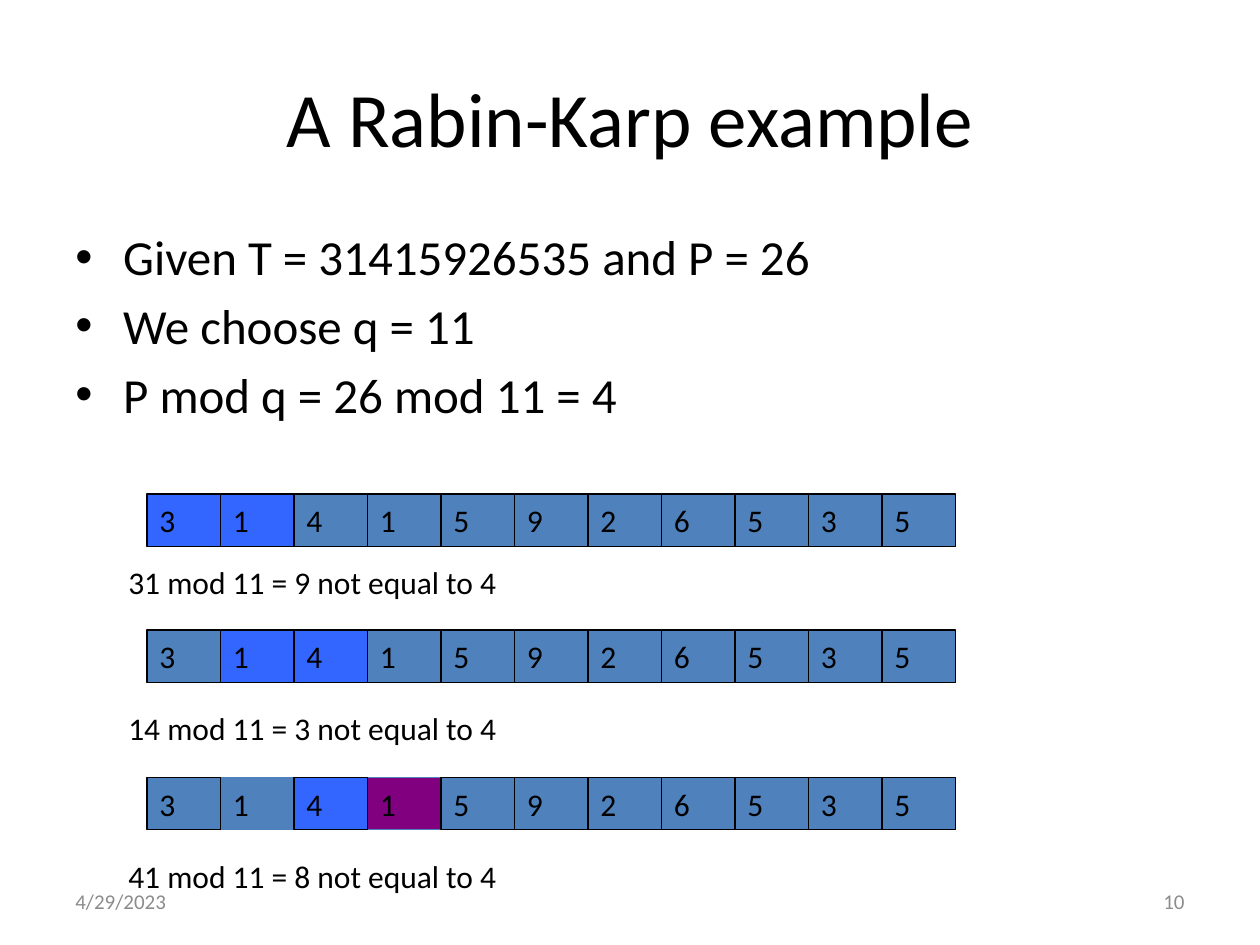
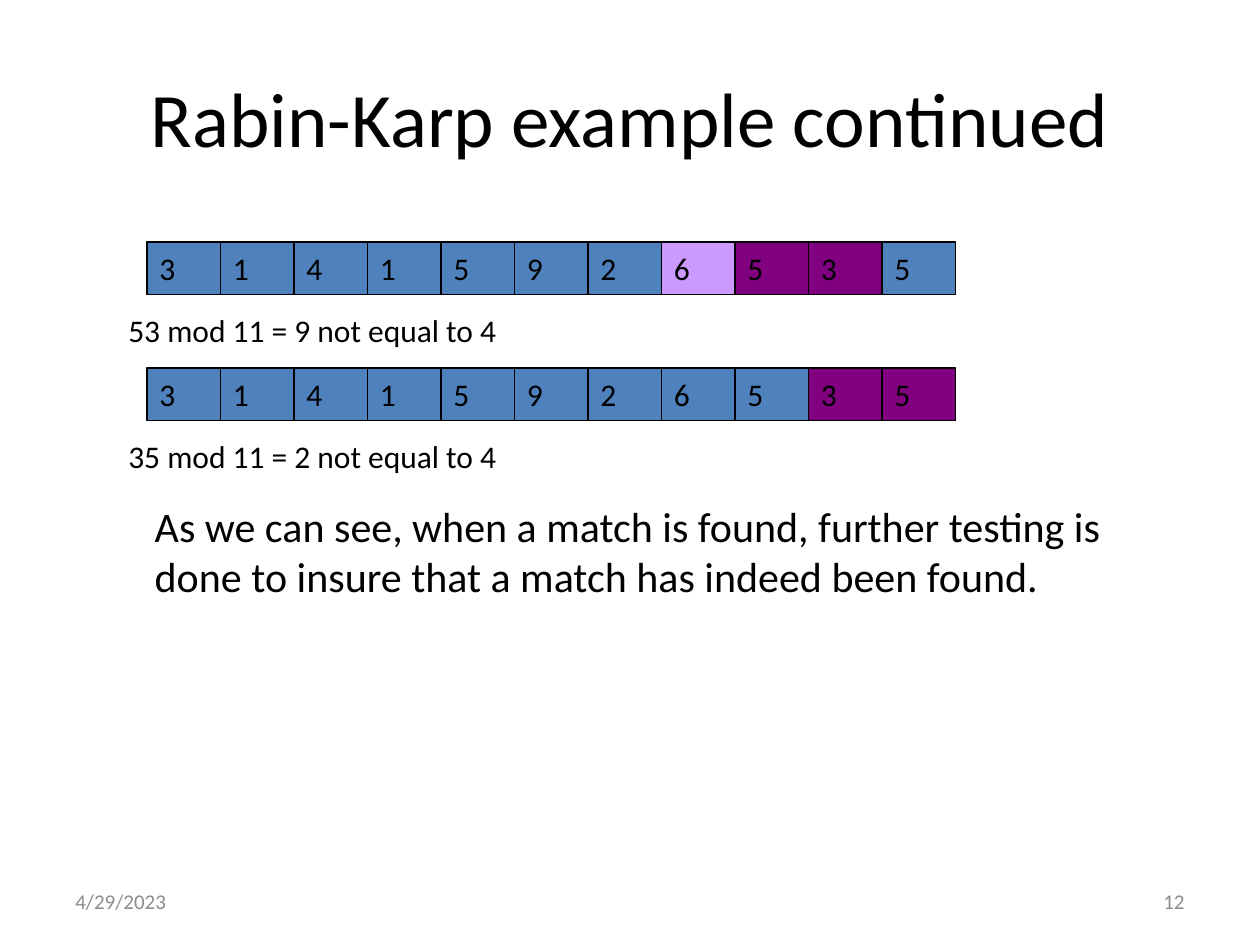
from dataclasses import dataclass

from lxml import etree
from pptx import Presentation
from pptx import util as u
from pptx.dml.color import RGBColor
from pptx.enum import shapes, text
from pptx.oxml import ns


@dataclass(frozen=True)
class Theme:
    font: str = "Calibri"
    ink: str = "000000"
    muted: str = "8C8C8C"
    cell: str = "4F81BD"
    window: str = "3366FF"
    shifted: str = "800080"
    matched: str = "CC99FF"
    title_size: int = 44
    bullet_size: int = 28
    remark_size: int = 24
    label_size: int = 18
    footer_size: int = 12
    outline: float = 0.75
    indent: float = 0.38


DIGITS = "31415926535"
CELL_WIDTH = 7 / 12
CELL_HEIGHT = 5 / 12
ROW_LEFT = 2 * CELL_WIDTH
DATE = "4/29/2023"
LEFT, RIGHT, CENTER = text.PP_ALIGN.LEFT, text.PP_ALIGN.RIGHT, text.PP_ALIGN.CENTER
TOP, MIDDLE = text.MSO_ANCHOR.TOP, text.MSO_ANCHOR.MIDDLE


def write(shape, *lines, size, color, font, align=LEFT, anchor=TOP,
          wrap=True, indent=0, space=0, bullet=None):
    """Fill a shape with one paragraph per line, all in the same format."""
    frame = shape.text_frame
    frame.word_wrap = wrap
    frame.vertical_anchor = anchor
    frame.text = "\n".join(lines)
    for paragraph in frame.paragraphs:
        paragraph.alignment = align
        paragraph.space_before = u.Pt(space)
        paragraph.font.size = u.Pt(size)
        paragraph.font.name = font
        paragraph.font.color.rgb = RGBColor.from_string(color)
        properties = paragraph._p.get_or_add_pPr()
        properties.set("marL", str(u.Inches(indent)))
        properties.set("indent", str(u.Inches(-indent if bullet else 0)))
        if bullet:
            mark_font = etree.Element(ns.qn("a:buFont"), typeface="Arial")
            mark = etree.Element(ns.qn("a:buChar"), char=bullet)
            spacing = properties.find(ns.qn("a:spcBef"))
            spacing.addnext(mark_font)
            mark_font.addnext(mark)


class Deck:
    def __init__(self, theme):
        self.theme = theme
        self.presentation = Presentation()
        self.presentation.slide_width = u.Inches(10)
        self.presentation.slide_height = u.Inches(7.5)
        self.slide = None

    def start_slide(self, heading, number):
        theme = self.theme
        title_only = self.presentation.slide_layouts[5]
        self.slide = self.presentation.slides.add_slide(title_only)
        title = self.slide.shapes.title
        title.left, title.top = u.Inches(0.5), u.Inches(0.3)
        title.width, title.height = u.Inches(9), u.Inches(1.25)
        write(title, heading, size=theme.title_size, color=theme.ink,
              font=theme.font, align=CENTER, anchor=MIDDLE)
        for left, label, align in ((0.5, DATE, LEFT), (7.17, str(number), RIGHT)):
            self.text(left, 6.95, 2.33, 0.4, label, size=theme.footer_size,
                      color=theme.muted, align=align, anchor=MIDDLE)

    def text(self, left, top, width, height, *lines, color=None, **style):
        box = self.slide.shapes.add_textbox(
            *(u.Inches(length) for length in (left, top, width, height)))
        write(box, *lines, color=color or self.theme.ink,
              font=self.theme.font, **style)

    def bullets(self, top, *lines):
        size = self.theme.bullet_size
        self.text(0.5, top, 9, 4.95, *lines, size=size,
                  indent=self.theme.indent, space=size * 0.2, bullet="•")

    def remark(self, top, line):
        size = self.theme.remark_size
        self.text(0.75, top, 8.5, 2.75, line, size=size,
                  indent=self.theme.indent, space=size * 0.2)

    def cell(self, column, top, fill, outline):
        theme = self.theme
        cell = self.slide.shapes.add_shape(
            shapes.MSO_SHAPE.RECTANGLE,
            u.Inches(ROW_LEFT + column * CELL_WIDTH), u.Inches(top),
            u.Inches(CELL_WIDTH), u.Inches(CELL_HEIGHT))
        cell.shadow.inherit = False
        cell.fill.solid()
        cell.fill.fore_color.rgb = RGBColor.from_string(fill)
        cell.line.color.rgb = RGBColor.from_string(outline)
        cell.line.width = u.Pt(theme.outline)
        write(cell, DIGITS[column], size=theme.label_size, color=theme.ink,
              font=theme.font, anchor=MIDDLE, wrap=False)

    def step(self, top, result, fills, caption_gap=0.5, soft_edges=()):
        """Draw the digits with their highlights and the hash result below.

        Cells with soft edges go first, so that neighbours' outlines cover them.
        """
        theme = self.theme
        for column in sorted(range(len(DIGITS)), key=lambda c: c not in soft_edges):
            outline = theme.cell if column in soft_edges else theme.ink
            self.cell(column, top, fills.get(column, theme.cell), outline)
        self.text(0.92, top + caption_gap, 6.47, 0.5, result,
                  size=theme.label_size)


def example(deck):
    theme = deck.theme
    deck.start_slide("A Rabin-Karp example", 10)
    deck.bullets(1.75, "Given T = 31415926535 and P = 26",
                 "We choose q = 11", "P mod q = 26 mod 11 = 4")
    deck.step(3.92, "31 mod 11 = 9 not equal to 4",
              {0: theme.window, 1: theme.window})
    deck.step(5, "14 mod 11 = 3 not equal to 4",
              {1: theme.window, 2: theme.window}, caption_gap=0.58)
    deck.step(6.17, "41 mod 11 = 8 not equal to 4",
              {2: theme.window, 3: theme.shifted}, caption_gap=0.58,
              soft_edges=(1, 3))


def example_continued(deck):
    theme = deck.theme
    deck.start_slide("Rabin-Karp example continued", 12)
    deck.step(1.92, "53 mod 11 = 9 not equal to 4",
              {7: theme.matched, 8: theme.shifted, 9: theme.shifted})
    deck.step(2.92, "35 mod 11 = 2 not equal to 4",
              {9: theme.shifted, 10: theme.shifted})
    deck.remark(3.92, "As we can see, when a match is found, further testing is "
                      "done to insure that a match has indeed been found.")


def main():
    deck = Deck(Theme())
    example(deck)
    example_continued(deck)
    deck.presentation.save("out.pptx")


if __name__ == "__main__":
    main()
